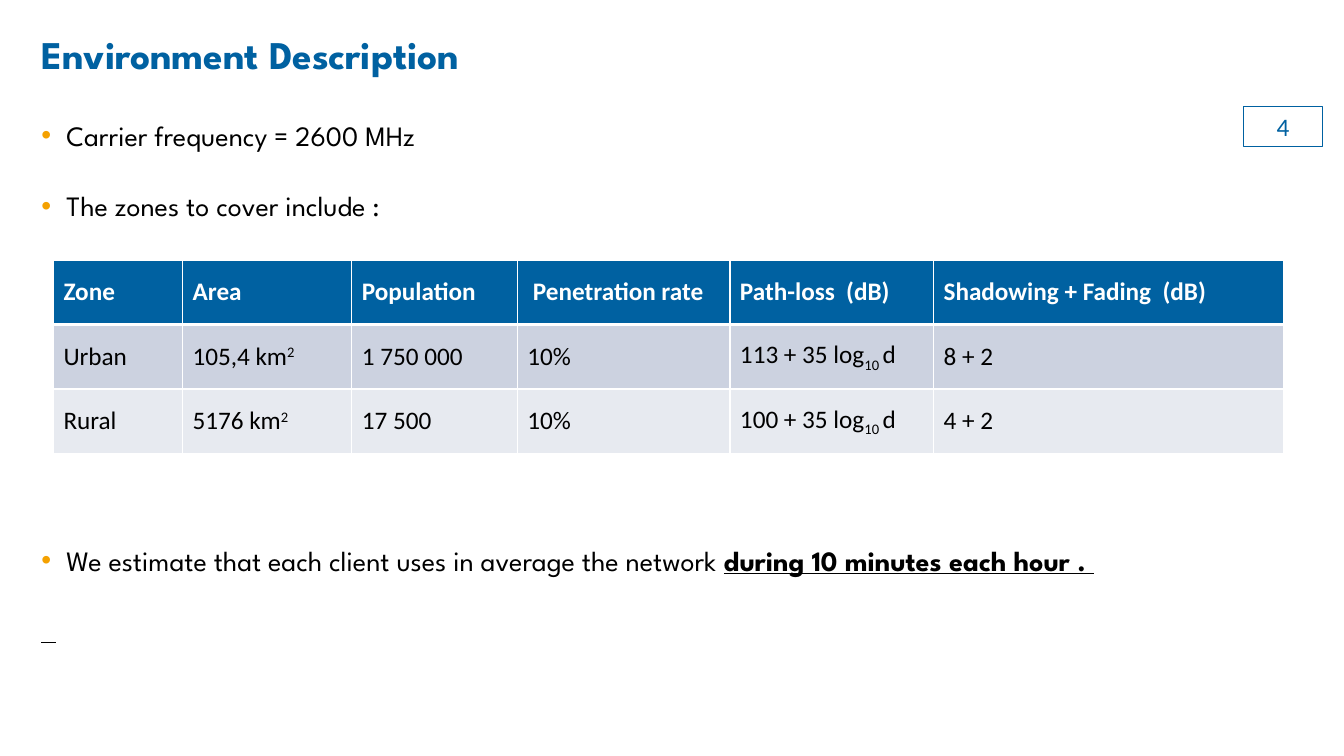
from dataclasses import dataclass
from typing import NamedTuple

from lxml.etree import SubElement
from pptx import Presentation
from pptx.dml.color import RGBColor
from pptx.enum.shapes import MSO_CONNECTOR, MSO_SHAPE
from pptx.enum.text import MSO_ANCHOR, PP_ALIGN
from pptx.oxml.ns import qn
from pptx.util import Inches, Pt


@dataclass(frozen=True)
class Theme:
    blue: str = "0061A1"
    orange: str = "F4A100"
    black: str = "000000"
    white: str = "FFFFFF"
    bands: tuple = ("0061A1", "CCD2E0", "E7EAF0")
    head: str = "League Spartan"
    plain: str = "Calibri"
    title: int = 28
    body: int = 20
    small: int = 18


class Bit(NamedTuple):
    text: str
    base: int = 0
    strong: bool = False


class Point(NamedTuple):
    bits: tuple
    before: int


class Zone(NamedTuple):
    name: str
    area: str
    people: str
    rate: str
    loss: str
    fade: str

    def cells(self) -> list:
        return [
            (Bit(self.name),),
            (Bit(self.area + " km"), Bit("2", 30)),
            (Bit(self.people),),
            (Bit(self.rate),),
            (Bit(self.loss + " + 35 log"), Bit("10 ", -25), Bit("d")),
            (Bit(self.fade),),
        ]


THEME = Theme()
LEFT, WIDTH = 0.41, 12.56
POINTS = (
    Point((Bit("Carrier frequency = 2600 MHz"),), 0),
    Point((Bit("The zones to cover include :"),), 24),
    Point((Bit("We estimate that each client uses in average the network "),
           Bit("during 10 minutes each hour . ", strong=True)), 227),
)
HEADS = ("Zone", "Area", "Population", " Penetration rate",
         "Path-loss  (dB)", "Shadowing + Fading  (dB)")
ZONES = (
    Zone("Urban", "105,4", "1 750 000", "10%", "113", "8 + 2"),
    Zone("Rural", "5176", "17 500", "10%", "100", "4 + 2"),
)
COLS = (1.28, 1.68, 1.64, 2.11, 2.02, 3.47)
ROW = 0.64


def paint(par, face: str, size: int, color: str, bold: bool = False) -> None:
    font = par.font
    font.name, font.size, font.bold = face, Pt(size), bold
    font.color.rgb = RGBColor.from_string(color)


def write(par, bits: tuple) -> None:
    for bit in bits:
        run = par.add_run()
        run.text = bit.text
        if bit.base:
            run._r.get_or_add_rPr().set("baseline", str(bit.base * 1000))
        if bit.strong:
            run.font.bold = run.font.underline = True


def bullet(par) -> None:
    props = par._p.get_or_add_pPr()
    props.set("marL", str(Inches(0.25)))
    props.set("indent", str(-Inches(0.25)))
    color = SubElement(props, qn("a:buClr"))
    SubElement(color, qn("a:srgbClr"), val=THEME.orange)
    SubElement(props, qn("a:buFont"), typeface="Arial")
    SubElement(props, qn("a:buChar"), char="•")


def add_box(slide, top: float, height: float, anchor):
    """Add a full-width text box without insets and return its frame."""
    box = slide.shapes.add_textbox(
        Inches(LEFT), Inches(top), Inches(WIDTH), Inches(height))
    frame = box.text_frame
    frame.word_wrap = True
    frame.vertical_anchor = anchor
    frame.margin_left = frame.margin_right = 0
    frame.margin_top = frame.margin_bottom = 0
    return frame


def add_title(slide) -> None:
    par = add_box(slide, 0.19, 0.75, MSO_ANCHOR.MIDDLE).paragraphs[0]
    par.line_spacing = 0.9
    write(par, (Bit("Environment Description"),))
    paint(par, THEME.head, THEME.title, THEME.blue, True)


def add_points(slide) -> None:
    frame = add_box(slide, 1.14, 5.42, MSO_ANCHOR.TOP)
    for i, point in enumerate(POINTS):
        par = frame.add_paragraph() if i else frame.paragraphs[0]
        par.line_spacing = 1.1
        par.space_before = Pt(point.before)
        bullet(par)
        write(par, point.bits)
        paint(par, THEME.head, THEME.body, THEME.black)


def add_edges(cell, row: int) -> None:
    """Draw white cell borders, thicker under the header row."""
    widths = {"L": 1, "R": 1, "T": 3 if row == 1 else 1, "B": 1 if row else 3}
    props = cell._tc.get_or_add_tcPr()
    for side, width in widths.items():
        line = SubElement(props, qn(f"a:ln{side}"), w=str(Pt(width)))
        fill = SubElement(line, qn("a:solidFill"))
        SubElement(fill, qn("a:srgbClr"), val=THEME.white)


def add_zones(slide) -> None:
    rows = [[(Bit(head),) for head in HEADS]] + [z.cells() for z in ZONES]
    table = slide.shapes.add_table(
        len(rows), len(COLS), Inches(0.53), Inches(2.58),
        Inches(sum(COLS)), Inches(ROW * len(rows))).table
    for col, width in zip(table.columns, COLS):
        col.width = Inches(width)
    for r, row in enumerate(rows):
        table.rows[r].height = Inches(ROW)
        for c, bits in enumerate(row):
            cell = table.cell(r, c)
            add_edges(cell, r)
            cell.fill.solid()
            cell.fill.fore_color.rgb = RGBColor.from_string(THEME.bands[r])
            cell.vertical_anchor = MSO_ANCHOR.MIDDLE
            par = cell.text_frame.paragraphs[0]
            write(par, bits)
            color = THEME.black if r else THEME.white
            paint(par, THEME.plain, THEME.small, color, r == 0)


def add_number(slide) -> None:
    box = slide.shapes.add_shape(
        MSO_SHAPE.RECTANGLE, Inches(12.33), Inches(1.06), Inches(0.79), Inches(0.39))
    box.shadow.inherit = False
    box.fill.background()
    box.line.color.rgb = RGBColor.from_string(THEME.blue)
    box.line.width = Pt(0.75)
    par = box.text_frame.paragraphs[0]
    par.alignment = PP_ALIGN.CENTER
    write(par, (Bit("4"),))
    paint(par, THEME.plain, THEME.small, THEME.blue)


def add_dash(slide) -> None:
    y = Inches(6.37)
    dash = slide.shapes.add_connector(
        MSO_CONNECTOR.STRAIGHT, Inches(LEFT), y, Inches(LEFT + 0.15), y)
    dash.line.color.rgb = RGBColor.from_string(THEME.black)
    dash.line.width = Pt(0.75)
    SubElement(dash._element.spPr, qn("a:effectLst"))


def main() -> None:
    deck = Presentation()
    deck.slide_width, deck.slide_height = Inches(13.33), Inches(7.5)
    slide = deck.slides.add_slide(deck.slide_layouts[6])
    for draw in (add_title, add_points, add_zones, add_number, add_dash):
        draw(slide)
    deck.save("out.pptx")


if __name__ == "__main__":
    main()
